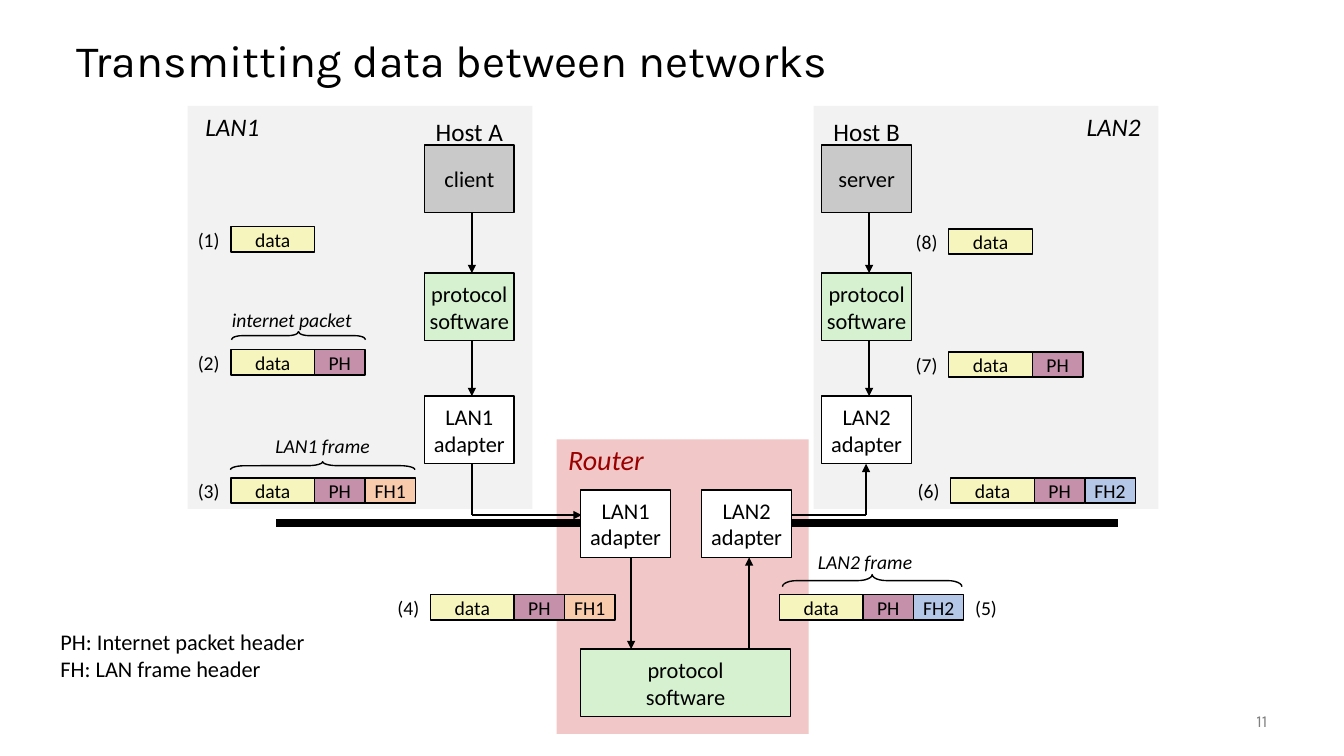
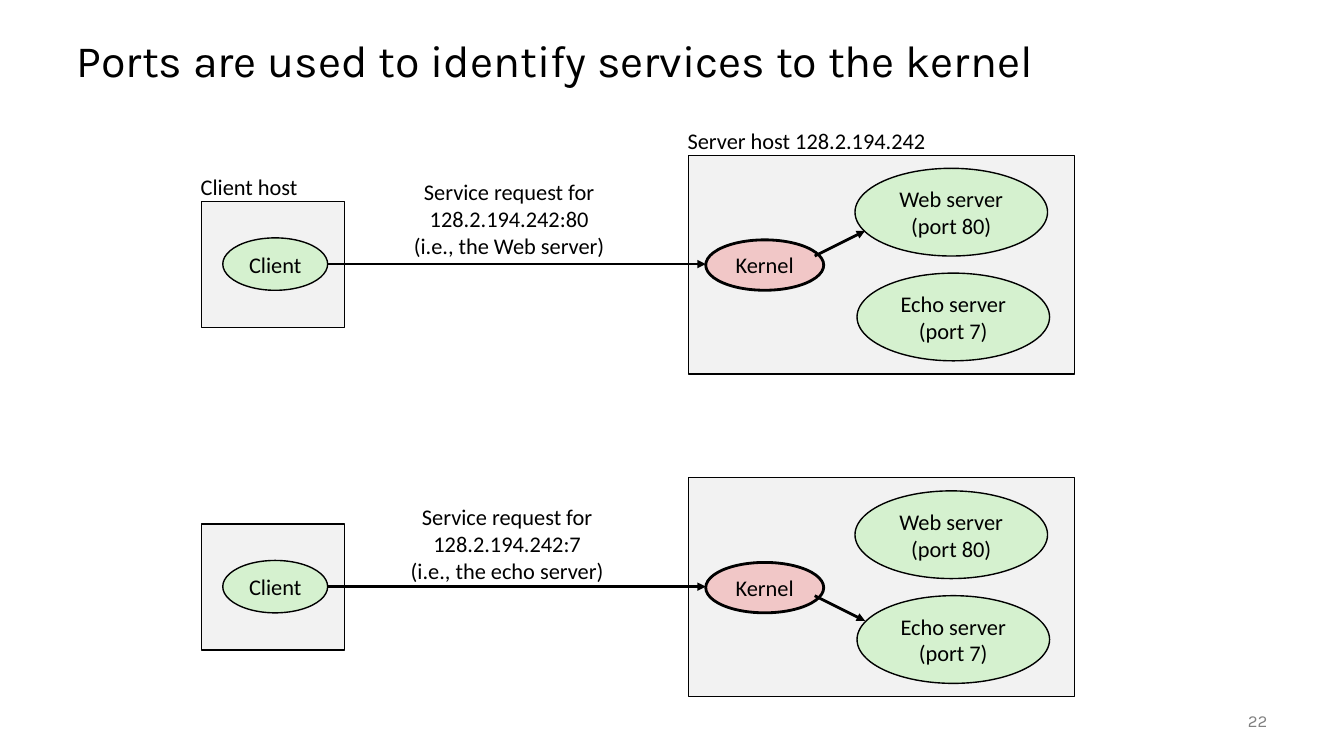
"""Build two slides on moving data between networks and reaching services by port."""
from lxml.etree import SubElement
from pptx import Presentation
from pptx.dml.color import RGBColor
from pptx.enum.shapes import MSO_CONNECTOR, MSO_SHAPE
from pptx.enum.text import MSO_ANCHOR, PP_ALIGN
from pptx.oxml.ns import qn
from pptx.util import Pt

EMU_PER_PX = 9144
SLIDE_SIZE = (1333, 750)
BODY_FONT, TITLE_FONT = "Calibri", "Karla"

BLACK = RGBColor(0x00, 0x00, 0x00)
WHITE = RGBColor(0xFF, 0xFF, 0xFF)
PANEL_GREY = RGBColor(0xF2, 0xF2, 0xF2)
HOST_GREY = RGBColor(0xC9, 0xC9, 0xC9)
NUMBER_GREY = RGBColor(0x80, 0x80, 0x80)
PINK = RGBColor(0xF1, 0xC7, 0xC7)
GREEN = RGBColor(0xD5, 0xF1, 0xCF)
YELLOW = RGBColor(0xF6, 0xF5, 0xBD)
MAUVE = RGBColor(0xC4, 0x90, 0xAA)
PEACH = RGBColor(0xF8, 0xCB, 0xAD)
BLUE = RGBColor(0xB4, 0xC7, 0xE7)
DARK_RED = RGBColor(0x99, 0x00, 0x00)

TITLE_FRAME = (66, 25, 1200, 75)
NUMBER_FRAME = (1157, 695, 100, 40)

NETWORK_PANELS = [
    ((186, 105, 342, 400), PANEL_GREY),
    ((807, 105, 342, 400), PANEL_GREY),
    ((552, 436, 250, 292), PINK),
]
BOX_WIDTH, BOX_HEIGHT = 89, 67
HOST_ROWS = (144, 271, 393)
HOSTS = [
    (421, "Host A", "client", "LAN1\nadapter"),
    (815, "Host B", "server", "LAN2\nadapter"),
]
ROUTER_BOXES = [
    ((576, 486, BOX_WIDTH, BOX_HEIGHT), WHITE, "LAN1\nadapter"),
    ((696, 486, BOX_WIDTH, BOX_HEIGHT), WHITE, "LAN2\nadapter"),
    ((576, 644, 208, BOX_HEIGHT), GREEN, "protocol\nsoftware"),
]
LAN_CABLES = [(274, 519, 599, 519), (784, 519, 1109, 519)]
PLAIN_LINKS = [(468, 460, 468, 511), (784, 511, 859, 511)]
ARROW_LINKS = [
    (468, 511, 577, 511),
    (859, 511, 859, 460),
    (626, 553, 626, 644),
    (743, 644, 743, 553),
]
CELL_HEIGHT = 25
CELLS = {
    "data": (83, YELLOW),
    "PH": (50, MAUVE),
    "FH1": (50, PEACH),
    "FH2": (50, BLUE),
}
FRAMES = [
    ("(1)", 229, 225, ["data"]),
    ("(2)", 229, 347, ["data", "PH"]),
    ("(3)", 229, 474, ["data", "PH", "FH1"]),
    ("(4)", 427, 590, ["data", "PH", "FH1"]),
    ("(5)", 773, 590, ["data", "PH", "FH2"]),
    ("(6)", 943, 474, ["data", "PH", "FH2"]),
    ("(7)", 941, 349, ["data", "PH"]),
    ("(8)", 941, 227, ["data"]),
]
NUMBER_AFTER_FRAME = {"(5)"}
BRACES = [
    ("internet packet", (218, 300, 143, 34), (296, 333), 133, 8),
    ("LAN1 frame", (262, 425, 116, 34), (320, 462), 183, 8),
    ("LAN2 frame", (800, 540, 116, 34), (865, 576), 178, 12),
]
NETWORK_LABELS = [
    ("LAN1", (193, 105, 75, 40), 18, BLACK),
    ("LAN2", (1067, 105, 75, 40), 18, BLACK),
    ("Router", (552, 434, 98, 44), 20, DARK_RED),
]
LEGEND = "PH: Internet packet header\nFH: LAN frame header"

SCENE_STEP = 320
SCENE_BOXES = [(200, 200, 142, 125), (683, 154, 383, 217)]
SCENE_OVALS = [
    ("Client", (221, 236, 104, 52), GREEN, 1),
    ("Kernel", (700, 238, 117, 50), PINK, 2),
    ("Web server\n(port 80)", (848, 167, 191, 87), GREEN, 1),
    ("Echo server\n(port 7)", (850, 271, 191, 87), GREEN, 1),
]
REQUEST_ARROW = (325, 262, 700, 262)
REQUESTS = [
    ("Service request for\n128.2.194.242:80\n(i.e., the Web server)",
     (360, 172, 290, 90), (808, 254, 858, 229)),
    ("Service request for\n128.2.194.242:7\n(i.e., the echo server)",
     (394, 494, 218, 91), (808, 271, 858, 296)),
]
HOST_LABELS = [
    ("Client host", (199, 167, 120, 37)),
    ("Server host 128.2.194.242", (682, 121, 270, 37)),
]


def px(*lengths):
    return [round(length * EMU_PER_PX) for length in lengths]


def shifted(frame, down):
    left, top, width, height = frame
    return left, top + down, width, height


def write(shape, text, size, color=BLACK, italic=False, align=PP_ALIGN.CENTER, font=BODY_FONT):
    frame = shape.text_frame
    frame.text = text
    frame.word_wrap = True
    frame.vertical_anchor = MSO_ANCHOR.MIDDLE
    for paragraph in frame.paragraphs:
        paragraph.alignment = align
        paragraph.font.name = font
        paragraph.font.size = Pt(size)
        paragraph.font.italic = italic
        paragraph.font.color.rgb = color


def clear_margins(shape):
    frame = shape.text_frame
    frame.margin_left = frame.margin_right = frame.margin_top = frame.margin_bottom = 0


def add_label(slide, text, frame, size, **style):
    label = slide.shapes.add_textbox(*px(*frame))
    clear_margins(label)
    write(label, text, size, **style)


def add_box(slide, frame, fill=None, text="", size=16, line=1, kind=MSO_SHAPE.RECTANGLE):
    box = slide.shapes.add_shape(kind, *px(*frame))
    box.shadow.inherit = False
    if fill is None:
        box.fill.background()
    else:
        box.fill.solid()
        box.fill.fore_color.rgb = fill
    if line:
        box.line.color.rgb = BLACK
        box.line.width = Pt(line)
    else:
        box.line.fill.background()
    if text:
        clear_margins(box)
        write(box, text, size)
    return box


def add_line(slide, ends, width=1, arrow=False):
    line = slide.shapes.add_connector(MSO_CONNECTOR.STRAIGHT, *px(*ends))
    line.line.color.rgb = BLACK
    line.line.width = Pt(width)
    if arrow:
        SubElement(line.line._get_or_add_ln(), qn("a:tailEnd"), type="triangle")
    SubElement(line._element.spPr, qn("a:effectLst"))


def add_frame(slide, number, left, top, cells):
    right = left
    for name in cells:
        width, fill = CELLS[name]
        add_box(slide, (right, top, width, CELL_HEIGHT), fill, name, 14)
        right += width
    number_left = right if number in NUMBER_AFTER_FRAME else left - 44
    add_label(slide, number, (number_left, top - 4, 44, 33), 14)


def add_brace(slide, text, label_frame, center, length, depth):
    center_x, center_y = center
    frame = (center_x - depth / 2, center_y - length / 2, depth, length)
    brace = add_box(slide, frame, kind=MSO_SHAPE.LEFT_BRACE)
    brace.rotation = 90
    brace.adjustments[0] = 0.08 * length / depth
    add_label(slide, text, label_frame, 14, italic=True)


def add_titled_slide(deck, title, number):
    slide = deck.slides.add_slide(deck.slide_layouts[5])
    heading = slide.shapes.title
    heading.left, heading.top, heading.width, heading.height = px(*TITLE_FRAME)
    write(heading, title, 32, align=PP_ALIGN.LEFT, font=TITLE_FONT)
    heading.text_frame.paragraphs[0].line_spacing = 0.9
    add_label(slide, number, NUMBER_FRAME, 12, color=NUMBER_GREY,
              align=PP_ALIGN.RIGHT, font=TITLE_FONT)
    return slide


def build_networks(deck):
    slide = add_titled_slide(deck, "Transmitting data between networks", "11")
    for frame, fill in NETWORK_PANELS:
        add_box(slide, frame, fill, line=0)
    for ends in LAN_CABLES:
        add_line(slide, ends, 6)
    for ends in PLAIN_LINKS:
        add_line(slide, ends)
    for ends in ARROW_LINKS:
        add_line(slide, ends, arrow=True)
    for left, host, program, adapter in HOSTS:
        add_label(slide, host, (left, 110, BOX_WIDTH, 40), 18)
        layers = [(program, HOST_GREY), ("protocol\nsoftware", GREEN), (adapter, WHITE)]
        for top, (text, fill) in zip(HOST_ROWS, layers):
            add_box(slide, (left, top, BOX_WIDTH, BOX_HEIGHT), fill, text)
        for upper, lower in zip(HOST_ROWS, HOST_ROWS[1:]):
            add_line(slide, (left + 47, upper + BOX_HEIGHT, left + 47, lower), arrow=True)
    for frame, fill, text in ROUTER_BOXES:
        add_box(slide, frame, fill, text)
    for frame in FRAMES:
        add_frame(slide, *frame)
    for brace in BRACES:
        add_brace(slide, *brace)
    for text, frame, size, color in NETWORK_LABELS:
        add_label(slide, text, frame, size, color=color, italic=True)
    add_label(slide, LEGEND, (60, 618, 270, 64), 16, align=PP_ALIGN.LEFT)


def build_ports(deck):
    slide = add_titled_slide(deck, "Ports are used to identify services to the kernel", "22")
    for index, (request, request_frame, service_arrow) in enumerate(REQUESTS):
        down = index * SCENE_STEP
        for frame in SCENE_BOXES:
            add_box(slide, shifted(frame, down), PANEL_GREY)
        for text, frame, fill, line in SCENE_OVALS:
            add_box(slide, shifted(frame, down), fill, text, line=line, kind=MSO_SHAPE.OVAL)
        for start_x, start_y, end_x, end_y in (REQUEST_ARROW, service_arrow):
            add_line(slide, (start_x, start_y + down, end_x, end_y + down), 2, arrow=True)
        add_label(slide, request, request_frame, 16)
    for text, frame in HOST_LABELS:
        add_label(slide, text, frame, 16, align=PP_ALIGN.LEFT)


def main():
    deck = Presentation()
    deck.slide_width, deck.slide_height = px(*SLIDE_SIZE)
    build_networks(deck)
    build_ports(deck)
    deck.save("out.pptx")


if __name__ == "__main__":
    main()
